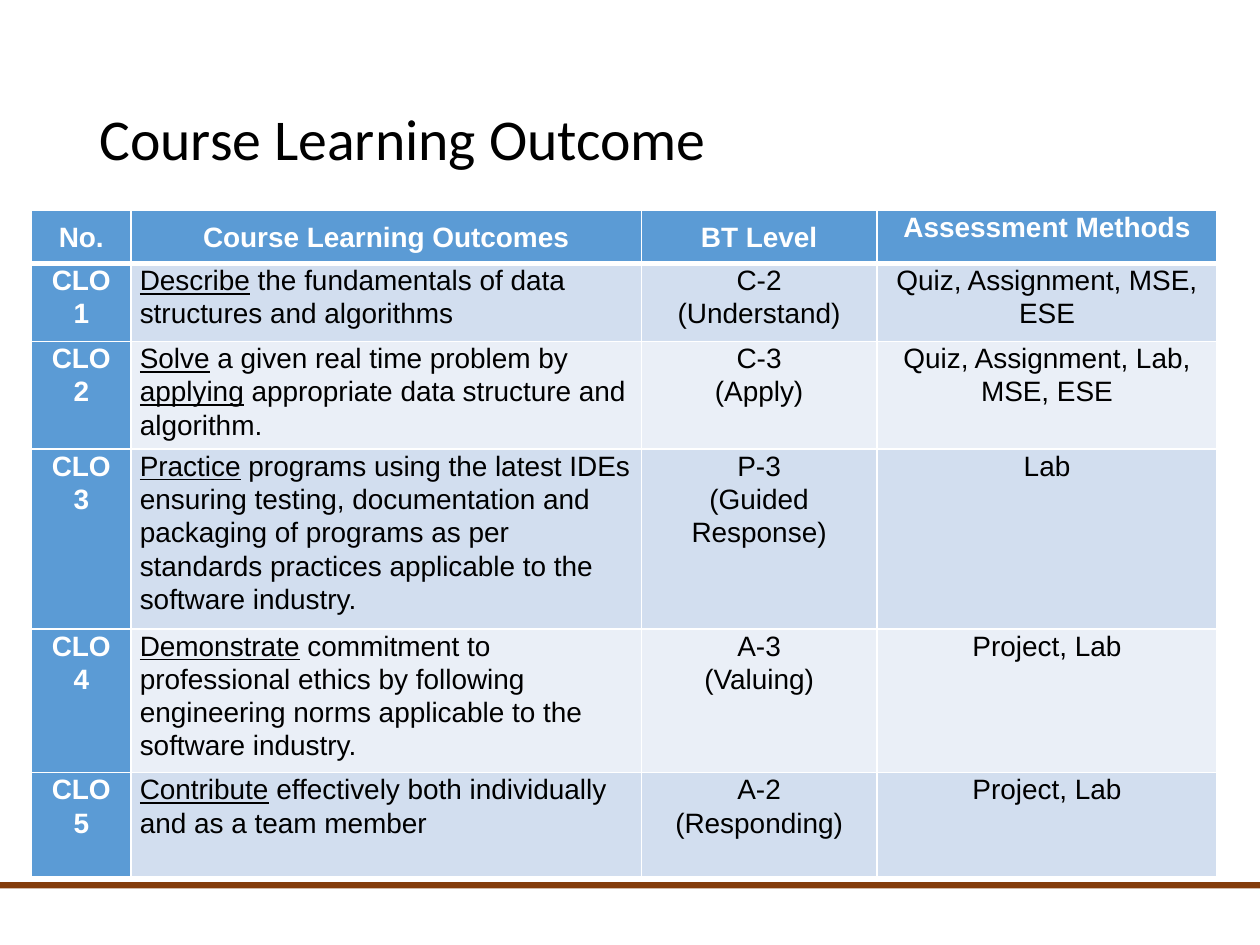
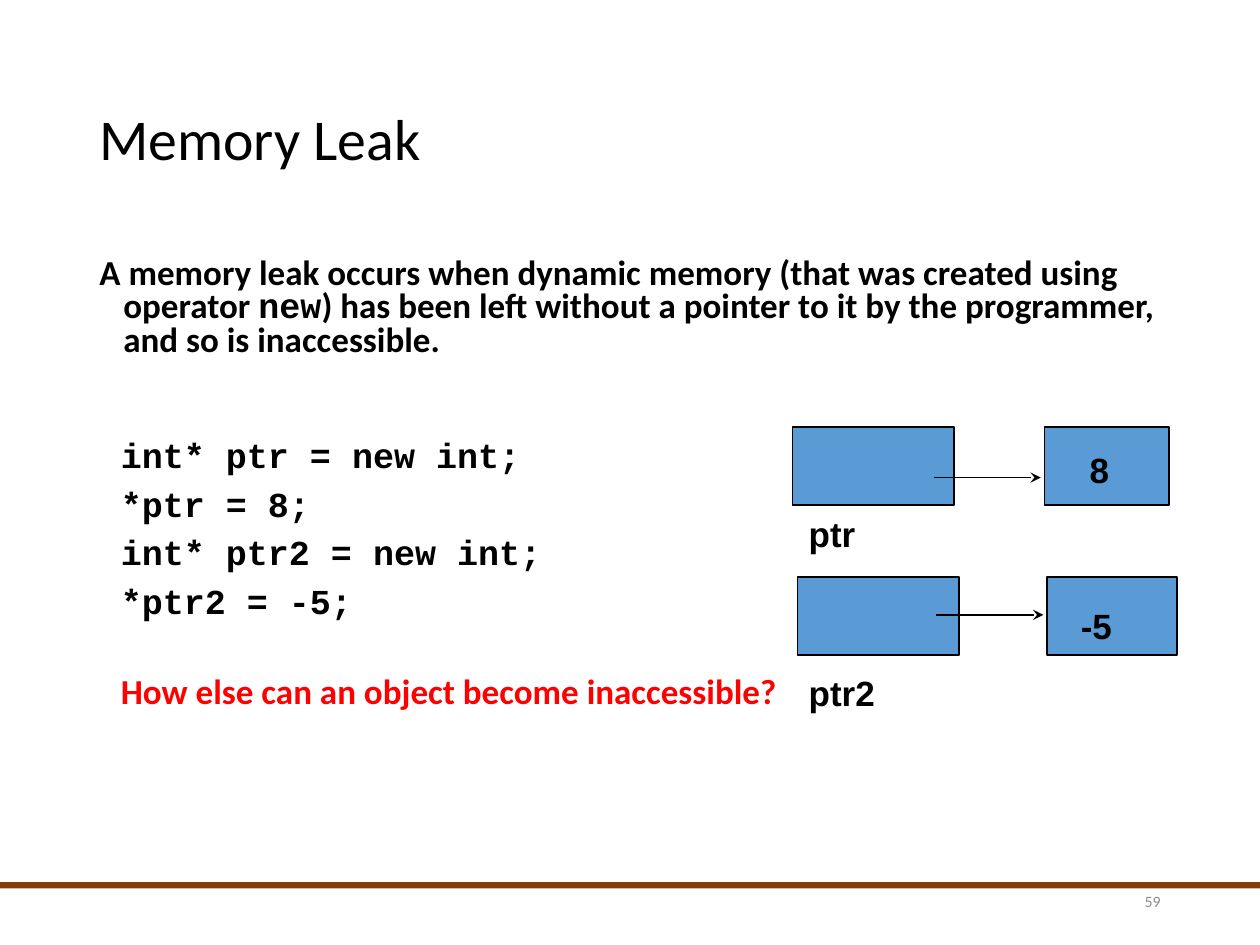
"""Build two course slides: the learning outcomes table and the memory leak example."""
from dataclasses import dataclass
from typing import NamedTuple

from lxml.etree import SubElement
from pptx import Presentation
from pptx.dml.color import RGBColor
from pptx.enum.shapes import MSO_CONNECTOR, MSO_SHAPE
from pptx.enum.text import MSO_ANCHOR as Anchor, PP_ALIGN as Align
from pptx.oxml import parse_xml
from pptx.oxml.ns import nsdecls, qn
from pptx.util import Inches, Pt


@dataclass(frozen=True)
class Theme:
    heading: str = "Calibri"
    plain: str = "Arial"
    code: str = "Courier New"
    black: str = "000000"
    white: str = "FFFFFF"
    blue: str = "5B9BD5"
    bands: tuple = ("D2DEEF", "EAEFF7")
    brown: str = "843C0B"
    red: str = "FF0000"
    grey: str = "8C8C8C"
    title_size: float = 33
    body_size: float = 20
    table_size: float = 16
    number_size: float = 9


THEME = Theme()


class Style(NamedTuple):
    font: str
    size: float
    color: str = THEME.black
    bold: bool = False


class Box(NamedTuple):
    left: float
    top: float
    width: float
    height: float

    def lengths(self) -> list:
        return [Inches(v) for v in self]


class Outcome(NamedTuple):
    number: str
    outcome: str
    level: str
    methods: str


class Para(NamedTuple):
    pieces: tuple
    before: float
    margin: float = 0.17
    indent: float = 0


@dataclass(frozen=True)
class PointerRow:
    pointer: Box
    target: Box
    arrow_left: float
    arrow_top: float
    value: str
    value_at: tuple
    name: str
    name_top: float


TITLE_STYLE = Style(THEME.heading, THEME.title_size)
PROSE = Style(THEME.heading, THEME.body_size, bold=True)
CODE = PROSE._replace(font=THEME.code)
QUESTION = PROSE._replace(color=THEME.red)
LABEL = PROSE._replace(font=THEME.plain)
CELL = Style(THEME.plain, THEME.table_size)
CELL_HEAD = CELL._replace(color=THEME.white, bold=True)

COLUMN_WIDTHS = (0.79, 4.05, 1.87, 2.7)
ROW_HEIGHTS = (0.42, 0.62, 0.85, 0.83, 0.83, 0.83)
HEADER = Outcome("No.", "Course Learning Outcomes", "BT Level", "Assessment Methods")
OUTCOMES = (
    Outcome("CLO 1", "_Describe_ the fundamentals of data structures and algorithms",
            "C-2\n(Understand)", "Quiz, Assignment, MSE, ESE"),
    Outcome("CLO 2", "_Solve_ a given real time problem by _applying_ appropriate "
            "data structure and algorithm.",
            "C-3\n(Apply)", "Quiz, Assignment, Lab, MSE, ESE"),
    Outcome("CLO 3", "_Practice_ programs using the latest IDEs ensuring testing, "
            "documentation and packaging of programs as per standards practices "
            "applicable to the software industry.",
            "P-3\n(Guided Response)", "Lab"),
    Outcome("CLO 4", "_Demonstrate_ commitment to professional ethics by following "
            "engineering norms applicable to the software industry.",
            "A-3\n(Valuing)", "Project, Lab"),
    Outcome("CLO 5", "_Contribute_ effectively both individually and as a team member",
            "A-2\n(Responding)", "Project, Lab"),
)

LEAK_TEXT = (
    Para((("A memory leak occurs when dynamic memory (that was created using operator ", PROSE),
          ("new", CODE),
          (") has been left without a pointer to it by the programmer, "
           "and so is inaccessible.", PROSE)), 7.5, 0.19, -0.19),
    Para((("int* ptr = new int;", CODE),), 47),
    Para((("*ptr = 8;", CODE),), 8.7),
    Para((("int* ptr2 = new int;", CODE),), 8.7),
    Para((("*ptr2 = -5;", CODE),), 8.7),
    Para((("How else can an object become inaccessible?", QUESTION),), 32),
)
POINTER_ROWS = (
    PointerRow(Box(6.29, 3.39, 1.28, 0.62), Box(8.29, 3.39, 0.99, 0.62),
               7.41, 3.79, "8", (8.55, 3.51), "ptr", 4.02),
    PointerRow(Box(6.33, 4.58, 1.28, 0.62), Box(8.31, 4.58, 1.03, 0.62),
               7.43, 4.88, "-5", (8.48, 4.75), "ptr2", 5.28),
)
NAME_LEFT = 6.32
ARROW_LENGTH = 0.85


def rgb(color: str) -> RGBColor:
    return RGBColor.from_string(color)


def format_run(r, style: Style) -> None:
    r.font.name = style.font
    r.font.size = Pt(style.size)
    r.font.bold = style.bold
    r.font.color.rgb = rgb(style.color)


def add_run(p, text: str, style: Style):
    r = p.add_run()
    r.text = text
    format_run(r, style)
    return r


def add_text(slide, box: Box, text: str, style: Style,
             align=Align.LEFT, anchor=Anchor.TOP):
    tf = slide.shapes.add_textbox(*box.lengths()).text_frame
    tf.word_wrap = True
    tf.vertical_anchor = anchor
    tf.text = text
    p = tf.paragraphs[0]
    p.alignment = align
    for r in p.runs:
        format_run(r, style)
    return tf


def add_rect(slide, box: Box, fill: str, line: str = ""):
    s = slide.shapes.add_shape(MSO_SHAPE.RECTANGLE, *box.lengths())
    s.shadow.inherit = False
    s.fill.solid()
    s.fill.fore_color.rgb = rgb(fill)
    if line:
        s.line.color.rgb = rgb(line)
        s.line.width = Pt(1)
    else:
        s.line.fill.background()
    return s


def add_arrow(slide, left: float, top: float) -> None:
    s = slide.shapes.add_connector(
        MSO_CONNECTOR.STRAIGHT, Inches(left), Inches(top),
        Inches(left + ARROW_LENGTH), Inches(top))
    s.line.color.rgb = rgb(THEME.black)
    s.line.width = Pt(1)
    SubElement(s.line._get_or_add_ln(), qn("a:tailEnd"), type="stealth")
    SubElement(s._element.spPr, qn("a:effectLst"))


def add_base_slide(prs, title: str):
    slide = prs.slides.add_slide(prs.slide_layouts[6])
    add_rect(slide, Box(0, 7, 10, 0.05), THEME.brown)
    tf = add_text(slide, Box(0.69, 0.4, 8.62, 1.45), title, TITLE_STYLE,
                  anchor=Anchor.MIDDLE)
    tf.paragraphs[0].line_spacing = 0.9
    return slide


def set_borders(cell, top: float, bottom: float) -> None:
    widths = {"lnL": 1, "lnR": 1, "lnT": top, "lnB": bottom}
    for i, (tag, width) in enumerate(widths.items()):
        cell._tc.get_or_add_tcPr().insert(i, parse_xml(
            f'<a:{tag} {nsdecls("a")} w="{Pt(width)}"><a:solidFill>'
            f'<a:srgbClr val="{THEME.white}"/></a:solidFill></a:{tag}>'))


def fill_cell(cell, text: str, style: Style, fill: str, align) -> None:
    cell.margin_left = cell.margin_right = Inches(0.07)
    cell.margin_top = cell.margin_bottom = 0
    cell.fill.solid()
    cell.fill.fore_color.rgb = rgb(fill)
    tf = cell.text_frame
    for i, line in enumerate(text.split("\n")):
        p = tf.add_paragraph() if i else tf.paragraphs[0]
        p.alignment = align
        p.line_spacing = 1.07
        for j, piece in enumerate(line.split("_")):
            if piece:
                add_run(p, piece, style).font.underline = j % 2 == 1


def build_outcomes(prs) -> None:
    slide = add_base_slide(prs, "Course Learning Outcome")
    rows = (HEADER, *OUTCOMES)
    box = Box(0.25, 1.67, sum(COLUMN_WIDTHS), sum(ROW_HEIGHTS))
    table = slide.shapes.add_table(len(rows), len(HEADER), *box.lengths()).table
    table.first_row = table.horz_banding = False
    for column, width in zip(table.columns, COLUMN_WIDTHS):
        column.width = Inches(width)
    for i, (row, height) in enumerate(zip(rows, ROW_HEIGHTS)):
        table.rows[i].height = Inches(height)
        for j, text in enumerate(row):
            cell = table.cell(i, j)
            is_head = i == 0 or j == 0
            fill_cell(cell, text, CELL_HEAD if is_head else CELL,
                      THEME.blue if is_head else THEME.bands[(i - 1) % 2],
                      Align.LEFT if i and j == 1 else Align.CENTER)
            set_borders(cell, 3 if i == 1 else 1, 3 if i == 0 else 1)
            if i == 0 and j < len(row) - 1:
                cell.vertical_anchor = Anchor.MIDDLE


def build_memory_leak(prs) -> None:
    slide = add_base_slide(prs, "Memory Leak")
    tf = slide.shapes.add_textbox(*Box(0.69, 2, 8.62, 4.76).lengths()).text_frame
    tf.word_wrap = True
    for i, para in enumerate(LEAK_TEXT):
        p = tf.add_paragraph() if i else tf.paragraphs[0]
        p.line_spacing = 0.8
        p.space_before = Pt(para.before)
        pPr = p._p.get_or_add_pPr()
        pPr.set("marL", str(Inches(para.margin)))
        pPr.set("indent", str(Inches(para.indent)))
        for text, style in para.pieces:
            add_run(p, text, style)
    add_text(slide, Box(7.06, 6.95, 2.25, 0.4), "59",
             Style(THEME.heading, THEME.number_size, THEME.grey),
             Align.RIGHT, Anchor.MIDDLE)
    for row in POINTER_ROWS:
        for box in (row.pointer, row.target):
            add_rect(slide, box, THEME.blue, THEME.black)
        add_text(slide, Box(*row.value_at, 0.6, 0.42), row.value, LABEL)
        add_text(slide, Box(NAME_LEFT, row.name_top, 1, 0.42), row.name, LABEL)
        add_arrow(slide, row.arrow_left, row.arrow_top)


def main() -> None:
    prs = Presentation()
    prs.slide_width, prs.slide_height = Inches(10), Inches(7.5)
    build_outcomes(prs)
    build_memory_leak(prs)
    prs.save("out.pptx")


if __name__ == "__main__":
    main()
